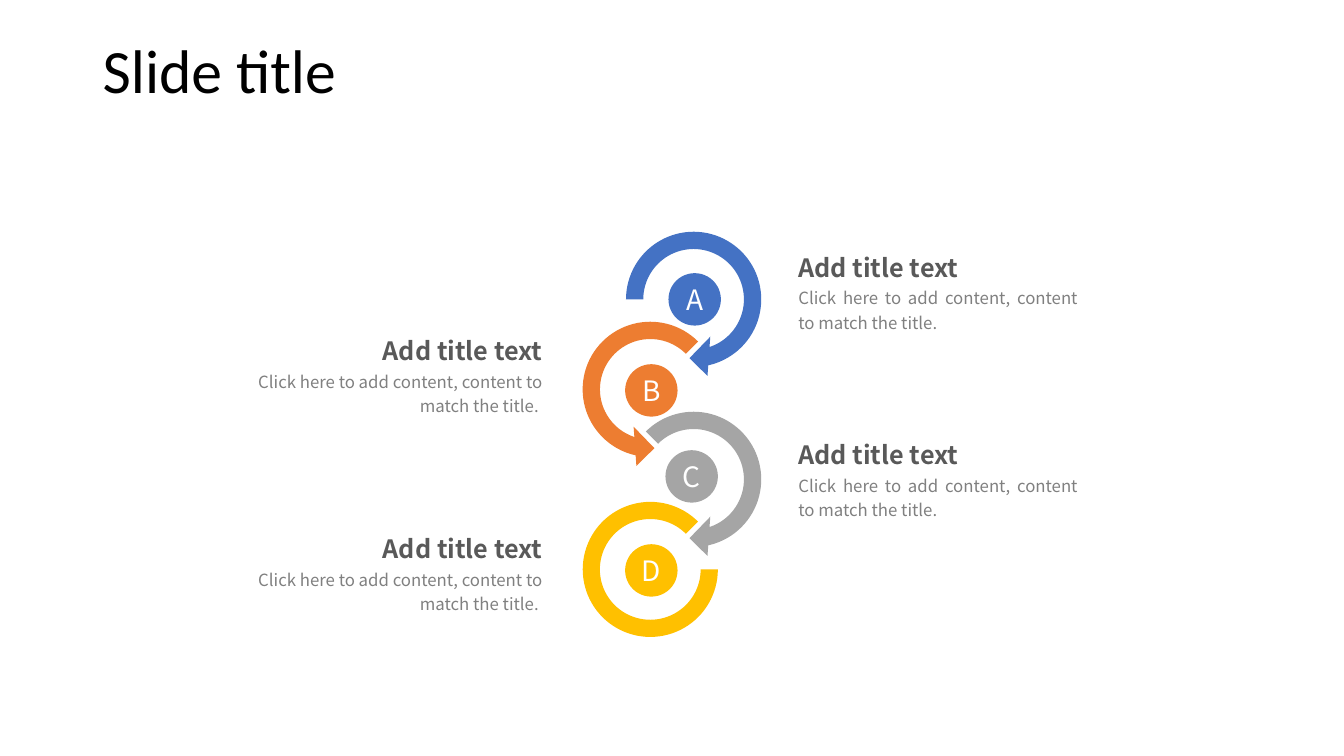
from pptx import Presentation, util as u
from pptx.dml.color import RGBColor
from pptx.enum import shapes, text

SLIDE_W, SLIDE_H = 13.33, 7.5
HEADING_FONT, BODY_FONT = "Calibri", "Noto Sans CJK SC"
ALIGN, SHAPE = text.PP_ALIGN, shapes.MSO_SHAPE

# Grid of the chain: rings alternate between two columns, one row each
COLUMNS = {"right": 6.88, "left": 6.45}
FIRST_ROW, ROW = 2.97, 0.893
ARROW, ARC, DISC = 1.56, 1.34, 0.52
RIGHT_EDGE, LEFT_EDGE = 7.82, 5.48
HEADING_W, HEADING_H, BODY_H, BODY_DROP = 2.45, 0.44, 0.59, 0.38

HEADING = "Add title text"
BODY = "Click here to add content, content to match the title. "


def arrow_adjustments(head, tail):
    return 0.11, 11.423, head, tail, 0.125


# letter: row, side, colour, ring shape, ring size, adjustments, disc shift, text top
STEPS = {
    "C": (2, "right", "A5A5A5", SHAPE.CIRCULAR_ARROW, ARROW,
          arrow_adjustments(45, 135), (-0.02, -0.03), 4.25),
    "D": (3, "left", "FFC000", SHAPE.BLOCK_ARC, ARC,
          (0, 189, 0.127), (0.01, 0.01), 5.18),
    "B": (1, "left", "ED7D31", SHAPE.LEFT_CIRCULAR_ARROW, ARROW,
          arrow_adjustments(63, 189), (0.01, 0.01), 3.22),
    "A": (0, "right", "4472C4", SHAPE.CIRCULAR_ARROW, ARROW,
          arrow_adjustments(45, 108), (0.01, 0), 2.39),
}


def colour(hex_value):
    return RGBColor.from_string(hex_value)


def write(frame, words, font, size, ink, align, spacing=1.0, bold=False):
    paragraph = frame.paragraphs[0]
    paragraph.text = words
    for name, value in {"alignment": align, "line_spacing": spacing}.items():
        setattr(paragraph, name, value)
    run_font = paragraph.runs[0].font
    for name, value in {"name": font, "size": u.Pt(size), "bold": bold}.items():
        setattr(run_font, name, value)
    run_font.color.rgb = colour(ink)


def add_words(slide, box, words, anchor=text.MSO_ANCHOR.TOP, **style):
    frame = slide.shapes.add_textbox(*map(u.Inches, box)).text_frame
    frame.word_wrap = True
    frame.vertical_anchor = anchor
    write(frame, words, **style)


def add_centred(slide, kind, x, y, size, fill):
    """Place a square preset shape around the point x, y."""
    box = (x - size / 2, y - size / 2, size, size)
    shape = slide.shapes.add_shape(kind, *map(u.Inches, box))
    shape.shadow.inherit = False
    shape.fill.solid()
    shape.fill.fore_color.rgb = colour(fill)
    shape.line.fill.background()
    return shape


def add_ring(slide, letter, row, side, fill, kind, size, adjustments, shift):
    x, y = COLUMNS[side], FIRST_ROW + row * ROW
    ring = add_centred(slide, kind, x, y, size, fill)
    for index, value in enumerate(adjustments):
        ring.adjustments[index] = value

    disc = add_centred(slide, SHAPE.OVAL, x + shift[0], y + shift[1], DISC, fill)
    frame = disc.text_frame
    for margin in ("left", "right", "top", "bottom"):
        setattr(frame, f"margin_{margin}", 0)
    frame.vertical_anchor = text.MSO_ANCHOR.MIDDLE
    write(frame, letter, BODY_FONT, 20, "FFFFFF", ALIGN.CENTER)


def add_caption(slide, side, top):
    """Set a heading and its body against the edge facing the chain."""
    on_right = side == "right"
    body_w = 2.97 if on_right else 3.19
    align = ALIGN.JUSTIFY if on_right else ALIGN.RIGHT
    parts = (
        (BODY, top + BODY_DROP, body_w, BODY_H, 12, "808080", False),
        (HEADING, top, HEADING_W, HEADING_H, 18, "595959", True),
    )
    for words, y, width, height, size, ink, bold in parts:
        x = RIGHT_EDGE if on_right else LEFT_EDGE - width
        add_words(slide, (x, y, width, height), words, font=BODY_FONT, size=size,
                  ink=ink, align=align, spacing=1.2, bold=bold)


def main():
    deck = Presentation()
    deck.slide_width, deck.slide_height = u.Inches(SLIDE_W), u.Inches(SLIDE_H)
    slide = deck.slides.add_slide(deck.slide_layouts[6])

    add_words(slide, (0.92, 0.3, 11.5, 0.85), "Slide title",
              anchor=text.MSO_ANCHOR.MIDDLE, font=HEADING_FONT, size=44,
              ink="000000", align=ALIGN.LEFT, spacing=0.9)
    for letter, (*ring, _) in STEPS.items():
        add_ring(slide, letter, *ring)
    for _, side, *_, top in STEPS.values():
        add_caption(slide, side, top)

    deck.save("out.pptx")


if __name__ == "__main__":
    main()
